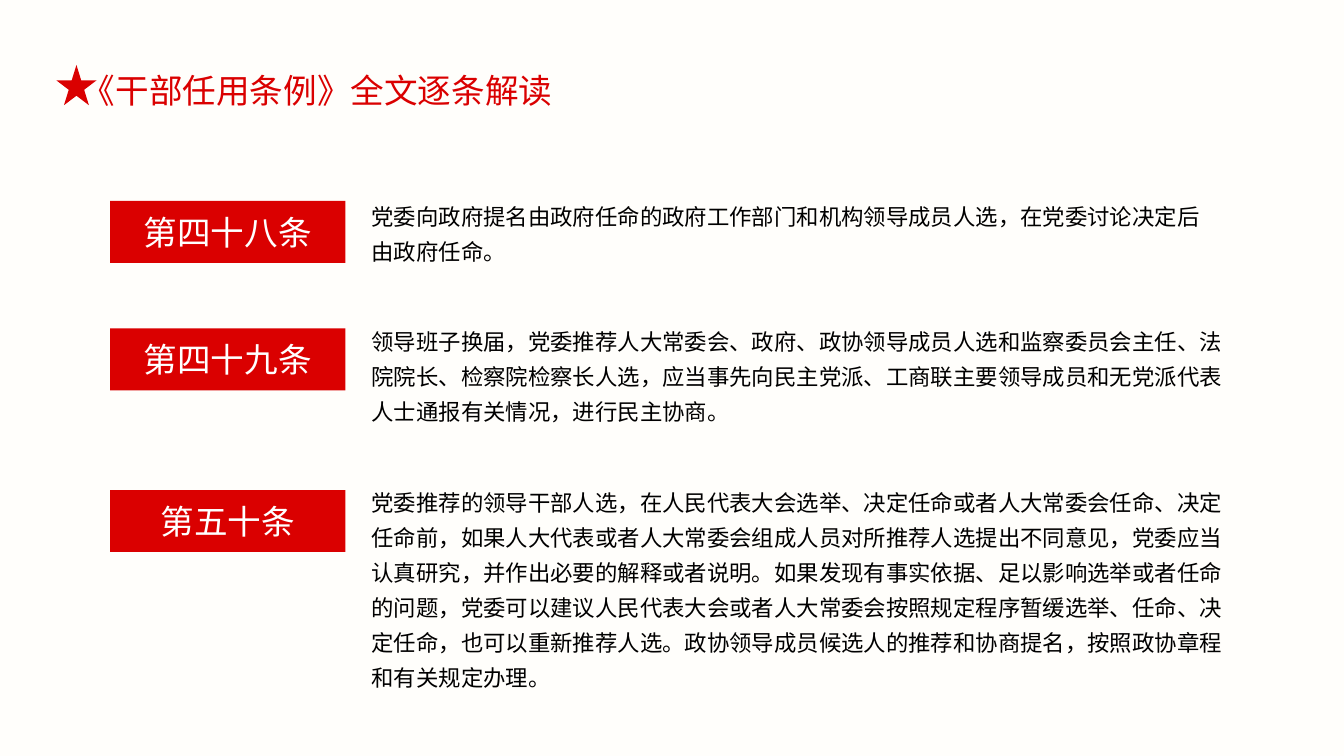
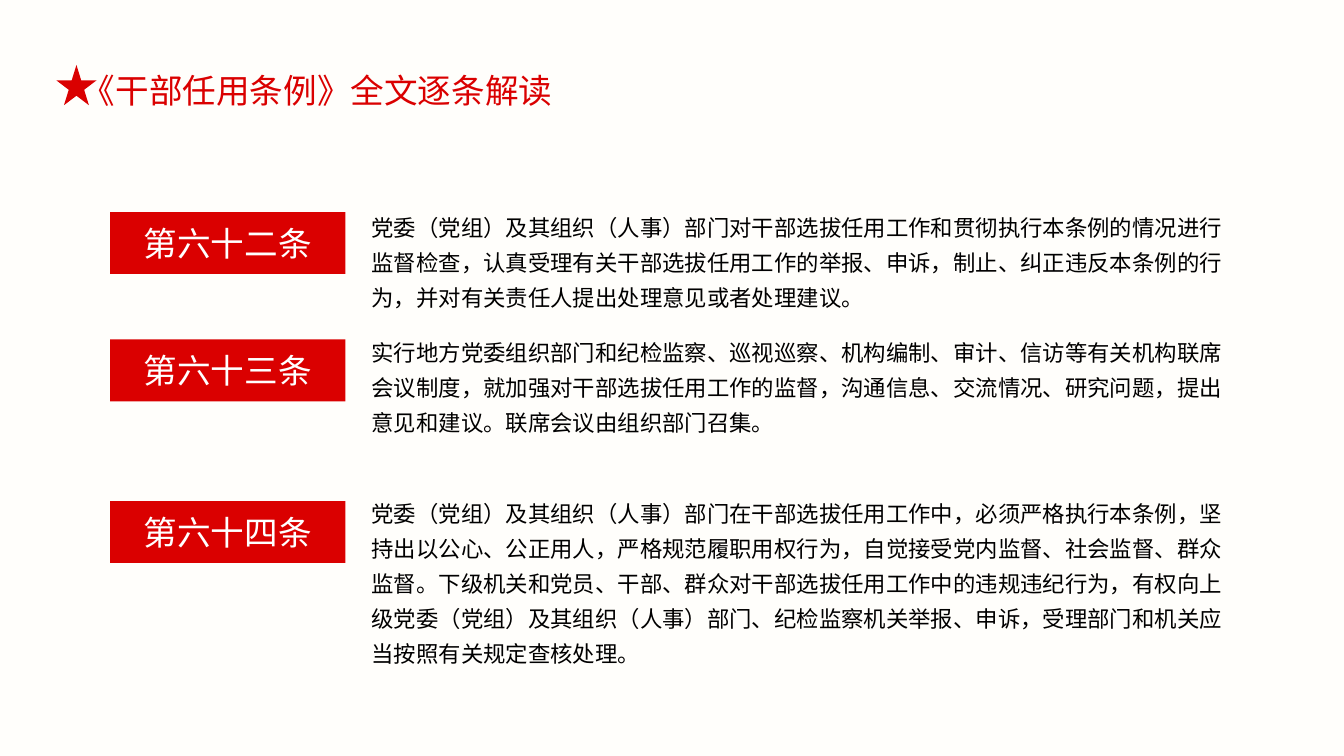
import math
import pptx
import pptx.util
import pptx.dml.color
import pptx.enum.shapes
import pptx.enum.text
import pptx.oxml
import pptx.oxml.ns

Pt = pptx.util.Pt
SHAPE = pptx.enum.shapes.MSO_SHAPE
ALIGN = pptx.enum.text.PP_ALIGN
ANCHOR = pptx.enum.text.MSO_ANCHOR
FIT = pptx.enum.text.MSO_AUTO_SIZE

TITLE = "《干部任用条例》全文逐条解读"
# Each slide: top of the first text, then (article, paragraphs)
SLIDES = [
    (100.8, [
        ("第四十八条", [
            "党委向政府提名由政府任命的政府工作部门和机构领导成员人选，在党委讨论决定后",
            "由政府任命。"]),
        ("第四十九条", [
            "领导班子换届，党委推荐人大常委会、政府、政协领导成员人选和监察委员会主任、"
            "法院院长、检察院检察长人选，应当事先向民主党派、工商联主要领导成员和"
            "无党派代表人士通报有关情况，进行民主协商。"]),
        ("第五十条", [
            "党委推荐的领导干部人选，在人民代表大会选举、决定任命或者人大常委会任命、"
            "决定任命前，如果人大代表或者人大常委会组成人员对所推荐人选提出不同意见，"
            "党委应当认真研究，并作出必要的解释或者说明。如果发现有事实依据、"
            "足以影响选举或者任命的问题，党委可以建议人民代表大会或者人大常委会"
            "按照规定程序暂缓选举、任命、决定任命，也可以重新推荐人选。"
            "政协领导成员候选人的推荐和协商提名，按照政协章程和有关规定办理。"]),
    ]),
    (106.7, [
        ("第六十二条", [
            "党委（党组）及其组织（人事）部门对干部选拔任用工作和贯彻执行本条例的情况"
            "进行监督检查，认真受理有关干部选拔任用工作的举报、申诉，制止、纠正"
            "违反本条例的行为，并对有关责任人提出处理意见或者处理建议。"]),
        ("第六十三条", [
            "实行地方党委组织部门和纪检监察、巡视巡察、机构编制、审计、信访等有关机构"
            "联席会议制度，就加强对干部选拔任用工作的监督，沟通信息、交流情况、"
            "研究问题，提出意见和建议。联席会议由组织部门召集。"]),
        ("第六十四条", [
            "党委（党组）及其组织（人事）部门在干部选拔任用工作中，必须严格执行本条例，"
            "坚持出以公心、公正用人，严格规范履职用权行为，自觉接受党内监督、"
            "社会监督、群众监督。下级机关和党员、干部、群众对干部选拔任用工作中的"
            "违规违纪行为，有权向上级党委（党组）及其组织（人事）部门、"
            "纪检监察机关举报、申诉，受理部门和机关应当按照有关规定查核处理。"]),
    ]),
]

COLORS = {"paper": "FFFEFB", "red": "DA0000", "white": "FFFFFF", "ink": "000000"}
HEAD, BODY = "Arial", "Noto Sans CJK SC"
# Per row, from the first text's top: text offset, tag offset
ROWS = [(0, 6.9), (67, 75.2), (153.4, 161.8)]
TEXT_X, TEXT_W = 192, 473
TAG_X, TAG_W, TAG_H = 59, 126, 33.1
LINE_H, LINE_CHARS, PAD = 18.6, 38, 7.2


def rgb(name):
    return pptx.dml.color.RGBColor.from_string(COLORS[name])


def style(frame, size, face, color, align, spacing=None):
    for para in frame.paragraphs:
        para.alignment = align
        if spacing:
            para.line_spacing = spacing
        for run in para.runs:
            run.font.size = Pt(size)
            run.font.name = face
            run.font.color.rgb = rgb(color)
            if face == BODY:
                east = pptx.oxml.parse_xml(
                    f'<a:ea {pptx.oxml.ns.nsdecls("a")} typeface="{face}"/>')
                run.font._element.append(east)


def place(shape, left, top, width, height):
    shape.left, shape.top = Pt(left), Pt(top)
    shape.width, shape.height = Pt(width), Pt(height)


def block(slide, kind, left, top, width, height):
    """Add a flat red shape without outline."""
    shape = slide.shapes.add_shape(kind, Pt(left), Pt(top), Pt(width), Pt(height))
    shape.shadow.inherit = False
    shape.fill.solid()
    shape.fill.fore_color.rgb = rgb("red")
    shape.line.fill.background()
    return shape


def header(slide):
    title = slide.shapes.title
    place(title, 36.7, 33.8, 269.3, 29)
    frame = title.text_frame
    frame.text = TITLE
    frame.word_wrap = False
    frame.auto_size = FIT.SHAPE_TO_FIT_TEXT
    frame.vertical_anchor = ANCHOR.TOP
    style(frame, 18, HEAD, "red", ALIGN.LEFT)
    block(slide, SHAPE.STAR_5_POINT, 30.2, 34.8, 21.6, 21.6)


def tag(slide, label, top):
    shape = block(slide, SHAPE.ROUNDED_RECTANGLE, TAG_X, top, TAG_W, TAG_H)
    shape.adjustments[0] = 0
    frame = shape.text_frame
    frame.text = label
    frame.vertical_anchor = ANCHOR.MIDDLE
    frame.margin_left = frame.margin_right = Pt(9.4)
    frame.margin_top = frame.margin_bottom = Pt(5)
    style(frame, 18, BODY, "white", ALIGN.CENTER)


def prose(slide, paras, top):
    lines = sum(math.ceil(len(para) / LINE_CHARS) for para in paras)
    box = slide.shapes.add_textbox(
        Pt(TEXT_X), Pt(top), Pt(TEXT_W), Pt(PAD + LINE_H * lines))
    frame = box.text_frame
    frame.word_wrap = True
    frame.auto_size = FIT.SHAPE_TO_FIT_TEXT
    frame.text = "\n".join(paras)
    style(frame, 12, BODY, "ink", ALIGN.LEFT, 1.3)


def main():
    prs = pptx.Presentation()
    prs.slide_width, prs.slide_height = Pt(720), Pt(405)
    fill = prs.slide_master.background.fill
    fill.solid()
    fill.fore_color.rgb = rgb("paper")
    for start, items in SLIDES:
        slide = prs.slides.add_slide(prs.slide_layouts[5])
        header(slide)
        for (label, paras), (text_y, tag_y) in zip(items, ROWS):
            tag(slide, label, start + tag_y)
            prose(slide, paras, start + text_y)
    prs.save("out.pptx")


if __name__ == "__main__":
    main()
